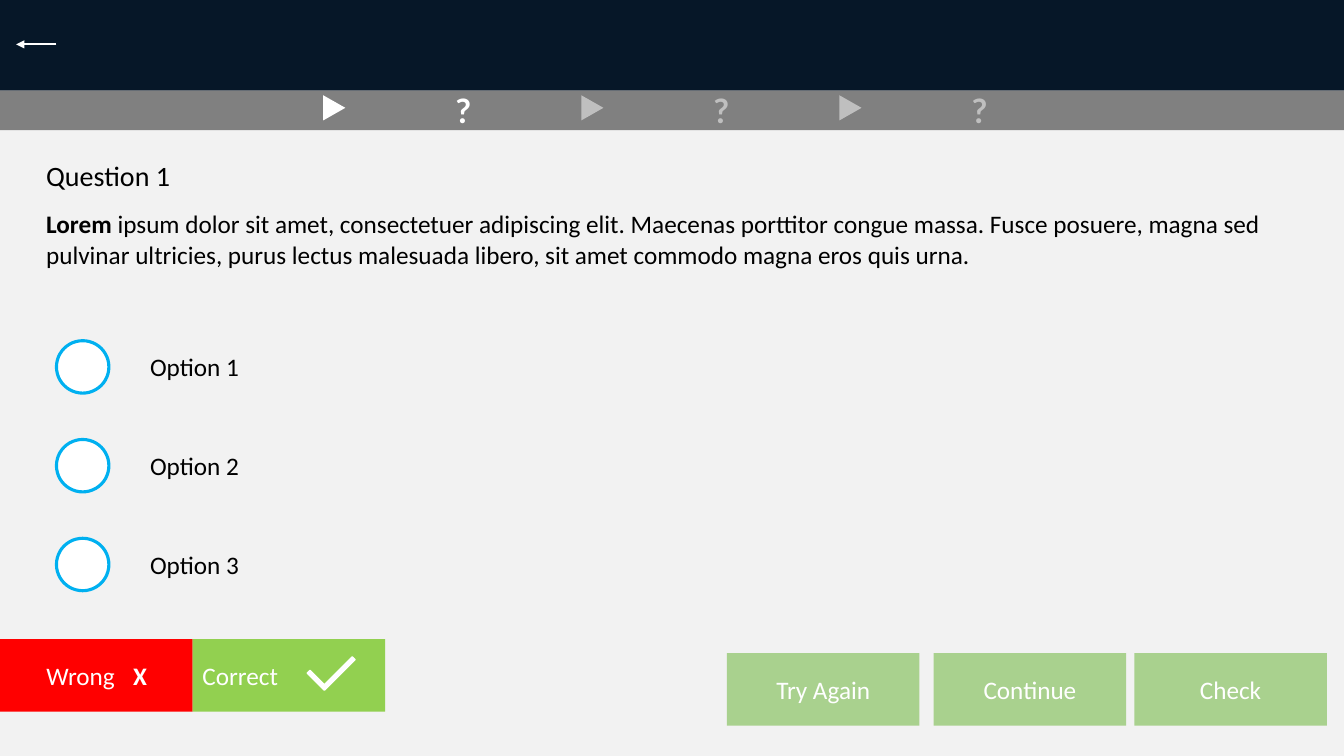
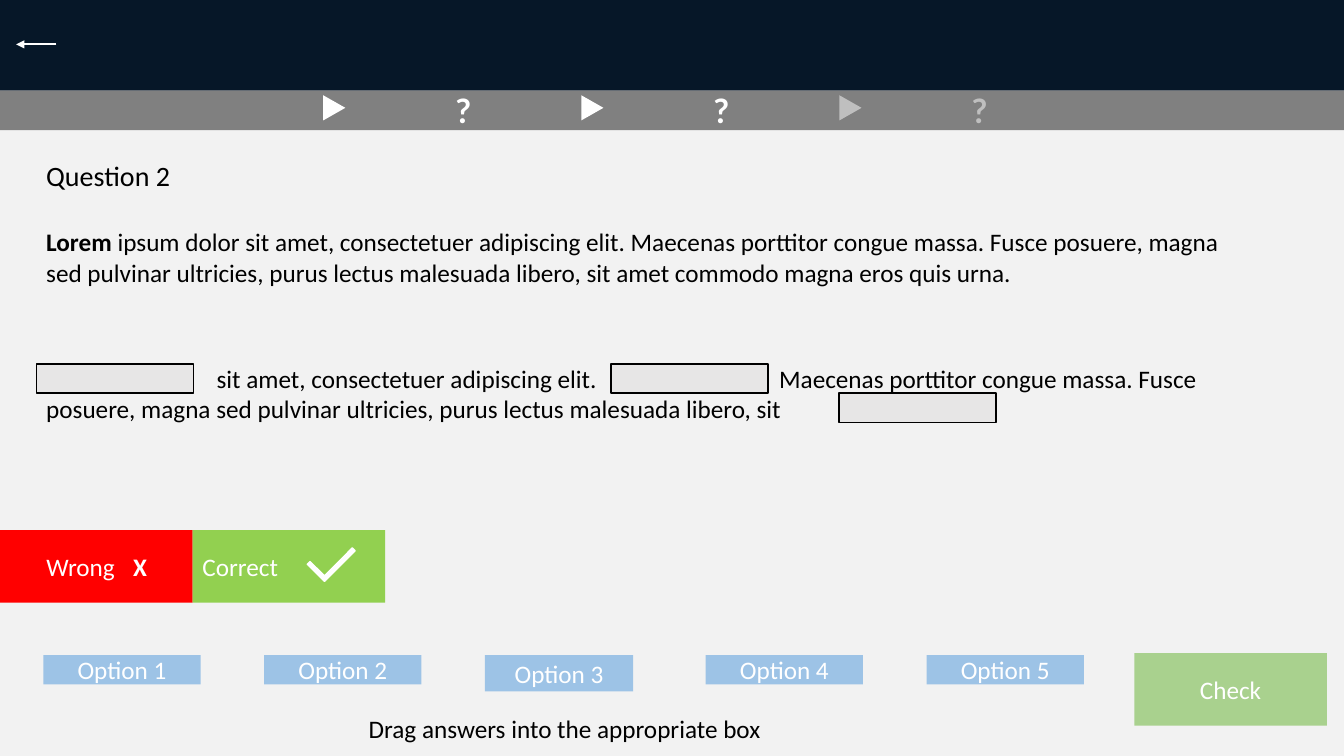
from dataclasses import dataclass
from typing import Any, NamedTuple, Optional

from lxml.etree import SubElement
from pptx import Presentation
from pptx.dml.color import RGBColor
from pptx.enum.shapes import MSO_CONNECTOR, MSO_SHAPE as Preset
from pptx.enum.text import MSO_ANCHOR as Anchor, MSO_AUTO_SIZE as AutoSize, PP_ALIGN as Align
from pptx.oxml.ns import qn
from pptx.util import Inches, Pt


@dataclass(frozen=True)
class Theme:
    navy: str = "061728"
    panel: str = "F2F2F2"
    band: str = "808080"
    white: str = "FFFFFF"
    black: str = "000000"
    pending: str = "BFBFBF"
    button: str = "A9D18E"
    wrong: str = "FF0000"
    correct: str = "92D050"
    ring: str = "00B0F0"
    chip: str = "9DC3E6"
    blank: str = "E7E6E6"
    body_font: str = "Calibri"
    mark_font: str = "Lato"
    title_size: int = 20
    body_size: int = 18
    mark_size: int = 24


THEME = Theme()


class Place(NamedTuple):
    left: float
    top: float
    width: float
    height: float

    def lengths(self) -> list[int]:
        return [Inches(value) for value in self]


class Span(NamedTuple):
    text: str
    bold: bool = False


class Stroke(NamedTuple):
    color: str
    width: float


@dataclass(frozen=True)
class TextStyle:
    color: str = THEME.black
    size: int = THEME.body_size
    font: str = THEME.body_font
    align: Align = Align.LEFT
    anchor: Anchor = Anchor.TOP
    wrap: bool = True
    inset: float = 0.1
    tabs: tuple[float, ...] = ()


@dataclass(frozen=True)
class Question:
    title: str
    prompt: Place
    reached: int
    feedback_top: float


BODY = TextStyle()
TITLE = TextStyle(size=THEME.title_size)
CENTERED = TextStyle(align=Align.CENTER)
LABEL = TextStyle(THEME.white, align=Align.CENTER, anchor=Anchor.MIDDLE)
CORRECT_LABEL = TextStyle(THEME.white, anchor=Anchor.MIDDLE)
WRONG_LABEL = TextStyle(THEME.white, anchor=Anchor.MIDDLE, inset=0.46, tabs=(0.86,))
CLOZE = TextStyle(tabs=(1.69, 7.27))

PROMPT = (
    Span("Lorem", bold=True),
    Span(" ipsum dolor sit amet, consectetuer adipiscing elit. Maecenas porttitor "
         "congue massa. Fusce posuere, magna sed pulvinar ultricies, purus lectus "
         "malesuada libero, sit amet commodo magna eros quis urna."),
)
CLOZE_TEXT = Span("\tsit amet, consectetuer adipiscing elit.\tMaecenas porttitor congue massa. "
                  "Fusce posuere, magna sed pulvinar ultricies, purus lectus malesuada libero, sit")

BUTTON_TOP, BUTTON_WIDTH, BUTTON_HEIGHT = 6.48, 1.91, 0.72
MARK_PITCH = 2.56
OPTION_PITCH = 0.98
CHIP_PITCH = 2.19


def apply(target: Any, values: dict[str, Any]) -> None:
    for name, value in values.items():
        setattr(target, name, value)


def write(box: Any, style: TextStyle, *spans: Span) -> None:
    frame = box.text_frame
    apply(frame, {"word_wrap": style.wrap, "vertical_anchor": style.anchor,
                  "margin_left": Inches(style.inset)})
    para = frame.paragraphs[0]
    para.alignment = style.align
    if style.tabs:
        stops = SubElement(para._p.get_or_add_pPr(), qn("a:tabLst"))
        for position in style.tabs:
            SubElement(stops, qn("a:tab"), pos=str(Inches(position)), algn="l")
    for span in spans:
        run = para.add_run()
        run.text = span.text
        apply(run.font, {"name": style.font, "size": Pt(style.size), "bold": span.bold})
        run.font.color.rgb = RGBColor.from_string(style.color)


def add_text(page: Any, place: Place, style: TextStyle, *spans: Span) -> None:
    box = page.shapes.add_textbox(*place.lengths())
    write(box, style, *spans)
    box.text_frame.auto_size = AutoSize.SHAPE_TO_FIT_TEXT


def add_shape(shapes: Any, place: Place, fill: str, preset: Preset = Preset.RECTANGLE,
              stroke: Optional[Stroke] = None, rotation: float = 0) -> Any:
    shape = shapes.add_shape(preset, *place.lengths())
    shape.shadow.inherit = False
    shape.rotation = rotation
    shape.fill.solid()
    shape.fill.fore_color.rgb = RGBColor.from_string(fill)
    if stroke:
        shape.line.color.rgb = RGBColor.from_string(stroke.color)
        shape.line.width = Pt(stroke.width)
    else:
        shape.line.fill.background()
    return shape


def add_button(page: Any, left: float, caption: str) -> None:
    place = Place(left, BUTTON_TOP, BUTTON_WIDTH, BUTTON_HEIGHT)
    write(add_shape(page.shapes, place, THEME.button), LABEL, Span(caption))


def add_back_arrow(page: Any) -> None:
    ends = [Inches(value) for value in (0.56, 0.44, 0.16, 0.44)]
    arrow = page.shapes.add_connector(MSO_CONNECTOR.STRAIGHT, *ends)
    arrow.line.color.rgb = RGBColor.from_string(THEME.white)
    arrow.line.width = Pt(1.5)
    SubElement(arrow.line._get_or_add_ln(), qn("a:tailEnd"), type="triangle")
    SubElement(arrow._element.spPr, qn("a:effectLst"))


def add_progress(page: Any, reached: int) -> None:
    for index in range(3):
        color = THEME.white if index < reached else THEME.pending
        shift = index * MARK_PITCH
        add_shape(page.shapes, Place(3.19 + shift, 0.96, 0.25, 0.22), color,
                  Preset.ISOSCELES_TRIANGLE, rotation=90)
        style = TextStyle(color, THEME.mark_size, THEME.mark_font, Align.CENTER)
        add_text(page, Place(4.18 + shift, 0.84, 0.83, 0.5), style, Span("?", bold=True))


def add_feedback(page: Any, top: float) -> None:
    wrong = add_shape(page.shapes, Place(0, top, BUTTON_WIDTH, BUTTON_HEIGHT), THEME.wrong)
    write(wrong, WRONG_LABEL, Span("Wrong\t"), Span("X", bold=True))

    # Correct tag grouped with its tick
    group = page.shapes.add_group_shape()
    place = Place(BUTTON_WIDTH, top, BUTTON_WIDTH, BUTTON_HEIGHT)
    write(add_shape(group.shapes, place, THEME.correct), CORRECT_LABEL, Span("Correct"))
    tick = add_shape(group.shapes, Place(3.07, top + 0.15, 0.43, 0.24), THEME.white,
                     Preset.CORNER, Stroke(THEME.white, 1), rotation=315)
    for index in range(2):
        tick.adjustments[index] = 0.16


def add_question(deck: Any, question: Question) -> Any:
    page = deck.slides.add_slide(deck.slide_layouts[6])
    page.background.fill.solid()
    page.background.fill.fore_color.rgb = RGBColor.from_string(THEME.navy)

    # Panel and progress band
    add_shape(page.shapes, Place(0, 0.9, 13.33, 6.6), THEME.panel)
    add_shape(page.shapes, Place(0, 0.9, 13.33, 0.39), THEME.band)
    add_progress(page, question.reached)
    add_back_arrow(page)

    # Question, feedback and check button
    add_text(page, Place(0.36, 1.52, 3.3, 0.44), TITLE, Span(question.title))
    add_text(page, question.prompt, BODY, *PROMPT)
    add_feedback(page, question.feedback_top)
    add_button(page, 11.25, "Check")
    return page


def add_choices(page: Any) -> None:
    choice = TextStyle(wrap=False)
    for index in range(3):
        top = 3.38 + index * OPTION_PITCH
        add_shape(page.shapes, Place(0.56, top, 0.52, 0.52), THEME.white, Preset.OVAL,
                  Stroke(THEME.ring, 2.25))
        add_text(page, Place(1.39, top + 0.06, 1.23, 0.4), choice, Span(f"Option {index + 1}"))
    for left, caption in ((7.21, "Try Again"), (9.26, "Continue")):
        add_button(page, left, caption)


def add_drag_answers(page: Any) -> None:
    # Sentence with blanks to fill
    add_text(page, Place(0.36, 3.55, 11.93, 0.71), CLOZE, CLOZE_TEXT)
    for left, top in ((0.36, 3.61), (6.06, 3.61), (8.32, 3.9)):
        add_shape(page.shapes, Place(left, top, 1.56, 0.29), THEME.blank,
                  stroke=Stroke(THEME.black, 1))

    # Answers to drag; the third is narrower and taller
    for index in range(5):
        width, height = (1.47, 0.36) if index == 2 else (1.56, 0.29)
        place = Place(0.43 + index * CHIP_PITCH, 6.5, width, height)
        write(add_shape(page.shapes, place, THEME.chip), LABEL, Span(f"Option {index + 1}"))
    add_text(page, Place(1.08, 7.03, 9.04, 0.4), CENTERED,
             Span("Drag answers into the appropriate box"))


def main() -> None:
    deck = Presentation()
    apply(deck, {"slide_width": Inches(13.33), "slide_height": Inches(7.5)})
    add_choices(add_question(deck, Question("Question 1", Place(0.36, 2.02, 12.27, 1.01), 1, 6.34)))
    add_drag_answers(
        add_question(deck, Question("Question 2", Place(0.36, 2.2, 11.93, 1.01), 2, 5.26)))
    deck.save("out.pptx")


if __name__ == "__main__":
    main()
